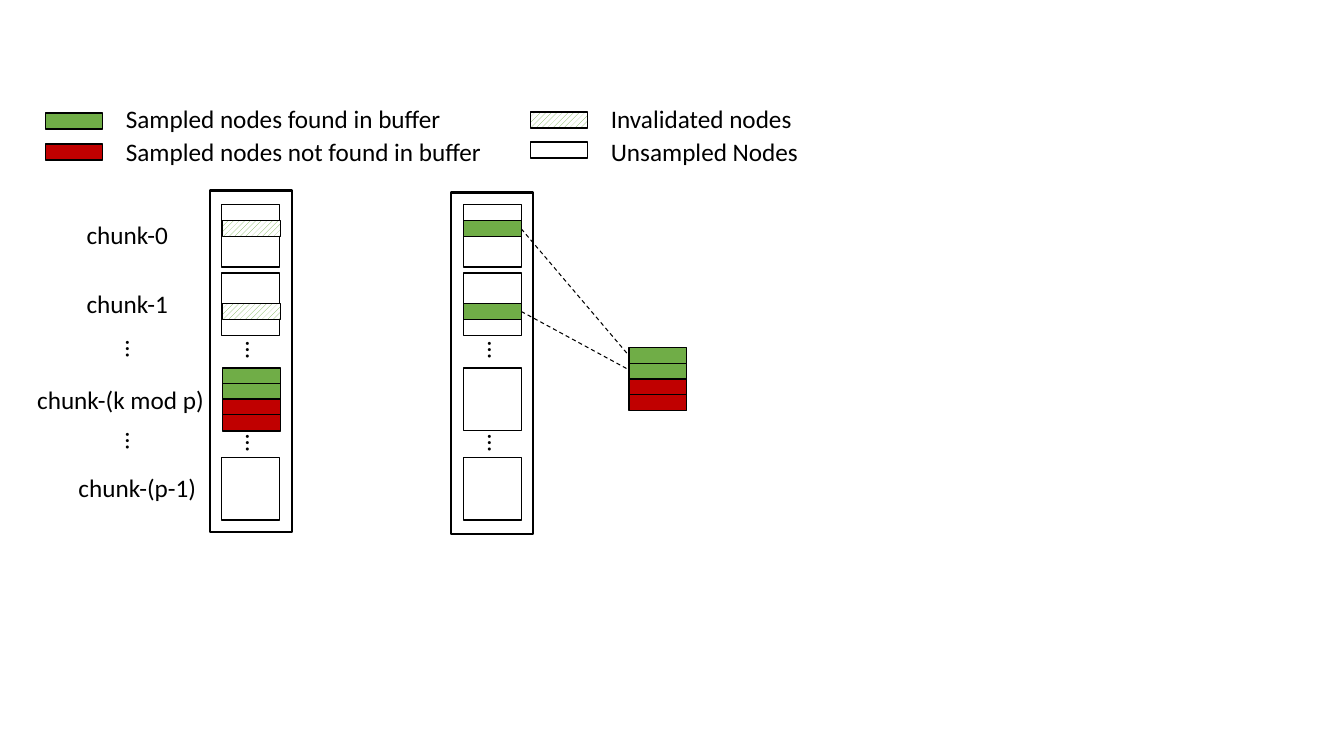
from pptx import Presentation
from pptx.dml.color import RGBColor
from pptx.enum.dml import MSO_LINE, MSO_PATTERN
from pptx.enum.shapes import MSO_CONNECTOR, MSO_SHAPE
from pptx.enum.text import MSO_AUTO_SIZE
from pptx.oxml.ns import qn
from pptx.util import Inches, Pt
from lxml import etree

RECT = MSO_SHAPE.RECTANGLE
STRAIGHT = MSO_CONNECTOR.STRAIGHT
DASH = MSO_LINE.DASH
HATCH = MSO_PATTERN.WIDE_UPWARD_DIAGONAL
FIT_SHAPE = MSO_AUTO_SIZE.SHAPE_TO_FIT_TEXT

COLORS = {"ink": "000000", "paper": "FFFFFF", "found": "70AD47", "missing": "C00000"}
NODE_W, NODE_H, CHUNK_H = 0.57, 0.16, 0.62
TEXT_H = 0.4


def rgb(name):
    return RGBColor.from_string(COLORS[name])


class Diagram:
    font, size = "Calibri", 18

    def __init__(self, slide):
        self.s = slide

    def box(self, x, y, w, h, fill=None, weight=1):
        sp = self.s.shapes.add_shape(RECT, Inches(x), Inches(y), Inches(w), Inches(h))
        sp.shadow.inherit = False
        sp.line.color.rgb = rgb("ink")
        sp.line.width = Pt(weight)
        if fill is None:
            sp.fill.background()
        elif fill == "invalid":
            sp.fill.patterned()
            sp.fill.pattern = HATCH
            sp.fill.fore_color.rgb = rgb("found")
            sp.fill.back_color.rgb = rgb("paper")
        else:
            sp.fill.solid()
            sp.fill.fore_color.rgb = rgb(fill)

    def node(self, x, y, fill=None):
        self.box(x, y, NODE_W, NODE_H, fill)

    def batch(self, x, y):
        """Four stacked nodes: two found in the buffer, two not."""
        for i, fill in enumerate(["found", "found", "missing", "missing"]):
            self.node(x, y + i * 0.155, fill)

    def text(self, x, y, w, words, wrap=False, rotation=0):
        sp = self.s.shapes.add_textbox(Inches(x), Inches(y), Inches(w), Inches(TEXT_H))
        sp.rotation = rotation
        tf = sp.text_frame
        tf.word_wrap = wrap
        tf.auto_size = FIT_SHAPE
        p = tf.paragraphs[0]
        p.text = words
        p.font.name, p.font.size = self.font, Pt(self.size)
        p.font.color.rgb = rgb("ink")

    def dots(self, x, y):
        self.text(x, y, 0.62, "…", wrap=True, rotation=90)

    def dashed(self, x1, y1, x2, y2):
        line = self.s.shapes.add_connector(
            STRAIGHT, Inches(x1), Inches(y1), Inches(x2), Inches(y2))
        line.line.color.rgb = rgb("ink")
        line.line.width = Pt(0.75)
        line.line.dash_style = DASH
        etree.SubElement(line._element.spPr, qn("a:effectLst"))


def main():
    prs = Presentation()
    prs.slide_width, prs.slide_height = Inches(13.33), Inches(7.5)
    d = Diagram(prs.slides.add_slide(prs.slide_layouts[6]))

    # Legend
    for x, y, fill, text_y, w, words in [
        (0.45, 1.12, "found", 0.98, 3.37, "Sampled nodes found in buffer"),
        (0.45, 1.43, "missing", 1.3, 3.78, "Sampled nodes not found in buffer"),
        (5.26, 1.11, "invalid", 0.98, 2.02, "Invalidated nodes"),
        (5.26, 1.41, None, 1.3, 2.08, "Unsampled Nodes"),
    ]:
        d.node(x, y, fill)
        d.text(x + 0.7, text_y, w, words)

    # Chunk labels
    for x, y, w, words in [
        (0.76, 2.13, 1.05, "chunk-0"),
        (0.76, 2.81, 1.02, "chunk-1"),
        (0.27, 3.76, 1.88, "chunk-(k mod p)"),
        (0.68, 4.64, 1.38, "chunk-(p-1)"),
    ]:
        d.text(x, y, w, words)
    for y in (3.39, 4.3):
        d.dots(1.04, y)

    # Buffers: frame, chunks, sampled nodes and gaps
    for frame_x, frame_y, x, node_x, fill, chunks, dots_x in [
        (2.08, 1.89, 2.2, 2.21, "invalid", (2.03, 2.71, 4.54), 2.23),
        (4.47, 1.91, 4.6, 4.6, "found", (2.03, 2.71, 3.65, 4.54), 4.63),
    ]:
        d.box(frame_x, frame_y, 0.82, 3.39, weight=1.5)
        for y in chunks:
            d.box(x, y, NODE_W, CHUNK_H)
        for y in (2.19, 3.01):
            d.node(node_x, y, fill)
        for y in (3.4, 4.32):
            d.dots(dots_x, y)

    # Sampled batch, in the buffer and on its own
    d.batch(2.21, 3.65)
    d.batch(6.24, 3.45)

    # Links from found nodes to the batch
    d.dashed(5.17, 2.27, 6.24, 3.53)
    d.dashed(5.17, 3.09, 6.24, 3.67)

    prs.save("out.pptx")


if __name__ == "__main__":
    main()
